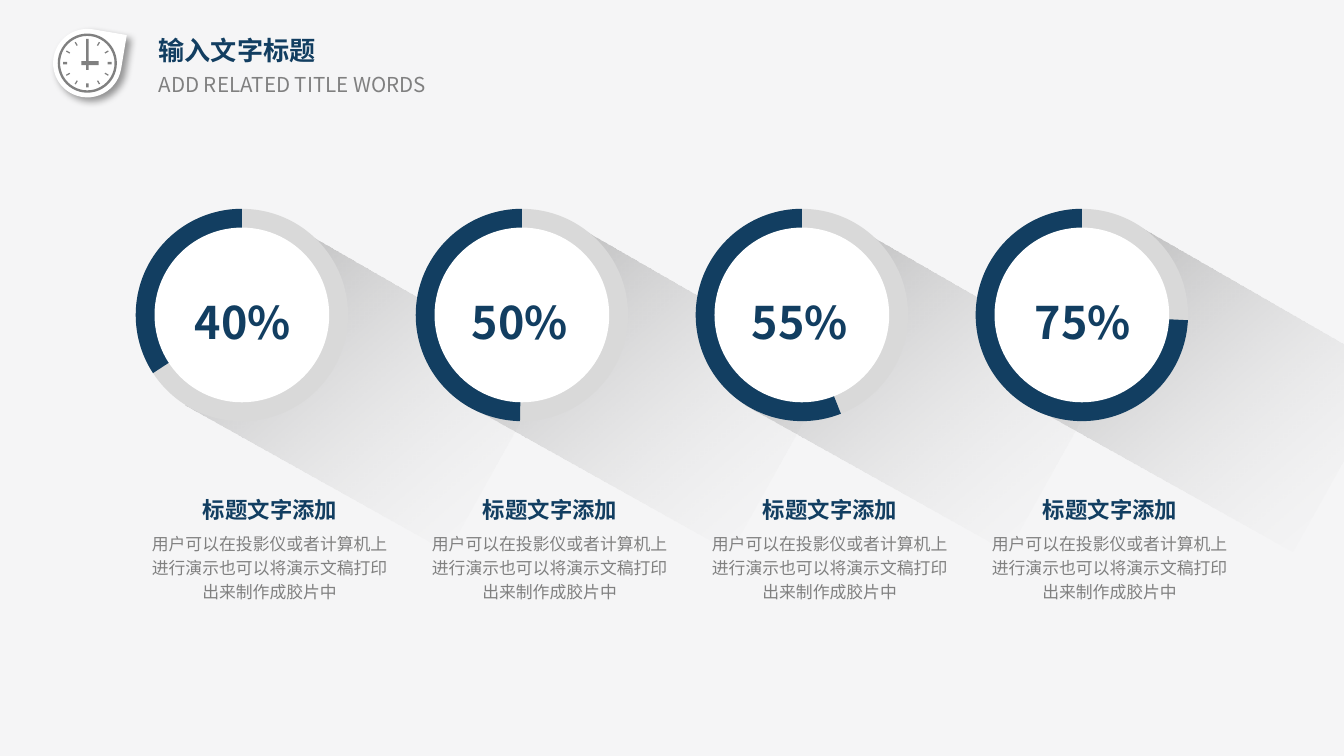
import math

from lxml import etree
from pptx import Presentation
from pptx import util as u
from pptx.dml.color import RGBColor
from pptx.enum import shapes, text
from pptx.oxml import parse_xml
from pptx.oxml.ns import nsdecls, qn

WIDTH = 10
HEIGHT = WIDTH * 9 / 16
MARGIN = 1.01
PITCH = WIDTH * 5 / 24
DIAL_MIDDLE = HEIGHT * 5 / 12
FONT = "Noto Sans CJK SC"

NAVY = RGBColor(0x12, 0x3E, 0x61)
GREY = RGBColor(0x80, 0x80, 0x80)
LIGHT_GREY = RGBColor(0xD9, 0xD9, 0xD9)
WHITE = RGBColor(0xFF, 0xFF, 0xFF)
BACKGROUND = RGBColor(0xF5, 0xF5, 0xF6)

# label, start angle of the navy sector, offset of the label, offset of the shadow
DIALS = [
    ("40%", 146.81, 0.20, 0.61),
    ("50%", 91.04, 0.18, 0.63),
    ("55%", 68.45, 0.18, 0.61),
    ("75%", 2.83, 0.20, 0.65),
]
HEADING = "标题文字添加"
DESCRIPTION = "用户可以在投影仪或者计算机上进行演示也可以将演示文稿打印出来制作成胶片中"


def column_left(column):
    return MARGIN + column * PITCH


def inches(*lengths):
    return [u.Inches(length) for length in lengths]


def write(shape, words, size, color, bold=False, align=text.PP_ALIGN.CENTER,
          spacing=1.2, insets=(0.1, 0.05), anchor=text.MSO_ANCHOR.TOP,
          fit=text.MSO_AUTO_SIZE.SHAPE_TO_FIT_TEXT):
    frame = shape.text_frame
    frame.word_wrap = True
    frame.auto_size = fit
    frame.vertical_anchor = anchor
    frame.margin_left = frame.margin_right = u.Inches(insets[0])
    frame.margin_top = frame.margin_bottom = u.Inches(insets[1])
    paragraph = frame.paragraphs[0]
    paragraph.alignment = align
    paragraph.line_spacing = spacing
    paragraph.space_before = u.Pt(0)
    run = paragraph.add_run()
    run.text = words
    run.font.name = FONT
    run.font.size = u.Pt(size)
    run.font.bold = bold
    run.font.color.rgb = color
    east_asian = etree.SubElement(run._r.get_or_add_rPr(), qn("a:ea"))
    east_asian.set("typeface", FONT)


def add_label(slide, box, words, size, color, **text_format):
    write(slide.shapes.add_textbox(*inches(*box)), words, size, color, **text_format)


def fill_placeholder(shape, box, words, size, color, **text_format):
    shape.left, shape.top, shape.width, shape.height = inches(*box)
    write(shape, words, size, color, spacing=1.0, anchor=text.MSO_ANCHOR.MIDDLE,
          fit=text.MSO_AUTO_SIZE.NONE, **text_format)


def add_plain_shape(slide, kind, center, size, color, rotation=0):
    """Add a borderless preset shape around its centre."""
    left, top = center[0] - size[0] / 2, center[1] - size[1] / 2
    shape = slide.shapes.add_shape(kind, *inches(left, top, *size))
    shape.shadow.inherit = False
    shape.fill.solid()
    shape.fill.fore_color.rgb = color
    shape.line.fill.background()
    shape.rotation = rotation
    return shape


def add_clock(slide):
    kinds = shapes.MSO_SHAPE
    x, y = center = (0.65, 0.47)
    badge = add_plain_shape(slide, kinds.TEAR, center, (0.51, 0.51), WHITE, 9.5)
    effects = badge._element.spPr.find(qn("a:effectLst"))
    effects.append(parse_xml(
        f'<a:outerShdw {nsdecls("a")} blurRad="{u.Pt(4)}" dist="{u.Pt(3)}" '
        'dir="2700000" algn="tl" rotWithShape="0"><a:srgbClr val="000000">'
        '<a:alpha val="40000"/></a:srgbClr></a:outerShdw>'))
    rim = add_plain_shape(slide, kinds.DONUT, center, (0.44, 0.44), GREY)
    rim.adjustments[0] = 0.04
    for hour in range(12):
        angle = math.radians(30 * hour)
        tick = (x + 0.165 * math.sin(angle), y - 0.165 * math.cos(angle))
        thickness = 0.01 if hour % 3 else 0.02
        add_plain_shape(slide, kinds.RECTANGLE, tick, (thickness, 0.03), GREY, 30 * hour)
    add_plain_shape(slide, kinds.RECTANGLE, (x, 0.42), (0.02, 0.2), GREY)
    add_plain_shape(slide, kinds.RECTANGLE, (0.67, y), (0.13, 0.03), GREY)


def add_long_shadow(slide, left, top):
    scale = u.Inches(1)
    builder = slide.shapes.build_freeform(left * scale, (top + 1.56) * scale)
    corners = [(0.03, 0), (2.23, 0.03), (2.23, 1.56)]
    builder.add_line_segments([((left + x) * scale, (top + y) * scale) for x, y in corners])
    shape = builder.convert_to_shape()
    shape.shadow.inherit = False
    shape.line.fill.background()
    shape.rotation = 29.2
    gradient = parse_xml(
        f'<a:gradFill {nsdecls("a")} rotWithShape="1"><a:gsLst>'
        '<a:gs pos="0"><a:srgbClr val="000000"><a:alpha val="30000"/></a:srgbClr></a:gs>'
        '<a:gs pos="100000"><a:srgbClr val="F2F2F2"><a:alpha val="0"/></a:srgbClr></a:gs>'
        '</a:gsLst><a:lin ang="1200000" scaled="0"/></a:gradFill>')
    shape._element.spPr.find(qn("a:custGeom")).addnext(gradient)


def add_dial(slide, left, start_angle):
    kinds = shapes.MSO_SHAPE
    center, outer, inner = (left + 0.79, DIAL_MIDDLE), (1.58, 1.58), (1.3, 1.3)
    add_plain_shape(slide, kinds.OVAL, center, outer, LIGHT_GREY)
    sector = add_plain_shape(slide, kinds.PIE, center, outer, NAVY)
    # One degree is 60000 angle units; adjustments count in 100000s.
    sector.adjustments[0] = start_angle * 0.6
    sector.adjustments[1] = 270 * 0.6
    add_plain_shape(slide, kinds.OVAL, center, inner, WHITE)


def main():
    presentation = Presentation()
    presentation.slide_width, presentation.slide_height = inches(WIDTH, HEIGHT)
    slide = presentation.slides.add_slide(presentation.slide_layouts[0])
    slide.background.fill.solid()
    slide.background.fill.fore_color.rgb = BACKGROUND

    fill_placeholder(slide.shapes.title, (1.12, 0.23, 2.15, 0.29), "输入文字标题",
                     14, NAVY, bold=True, align=text.PP_ALIGN.LEFT, insets=(0.06, 0.03))
    fill_placeholder(slide.placeholders[1], (1.07, 0.48, 2.52, 0.29),
                     "ADD RELATED TITLE WORDS", 11, GREY, align=text.PP_ALIGN.JUSTIFY,
                     insets=(0.11, 0.05))
    add_clock(slide)

    columns = [(column_left(index), *dial) for index, dial in enumerate(DIALS)]
    for left, _, _, _, shadow_offset in reversed(columns):
        add_long_shadow(slide, left + shadow_offset, 2.1)
    for left, _, start_angle, _, _ in columns:
        add_dial(slide, left, start_angle)
    for left, *_ in columns:
        add_label(slide, (left, 3.89, 1.99, 0.65), DESCRIPTION, 9, GREY)
        add_label(slide, (left + 0.08, 3.6, 1.84, 0.32), HEADING, 12, NAVY, bold=True)
    for left, percentage, _, label_offset, _ in columns:
        add_label(slide, (left + label_offset, 2.06, 1.19, 0.55), percentage, 24, NAVY,
                  bold=True)

    presentation.save("out.pptx")


if __name__ == "__main__":
    main()
